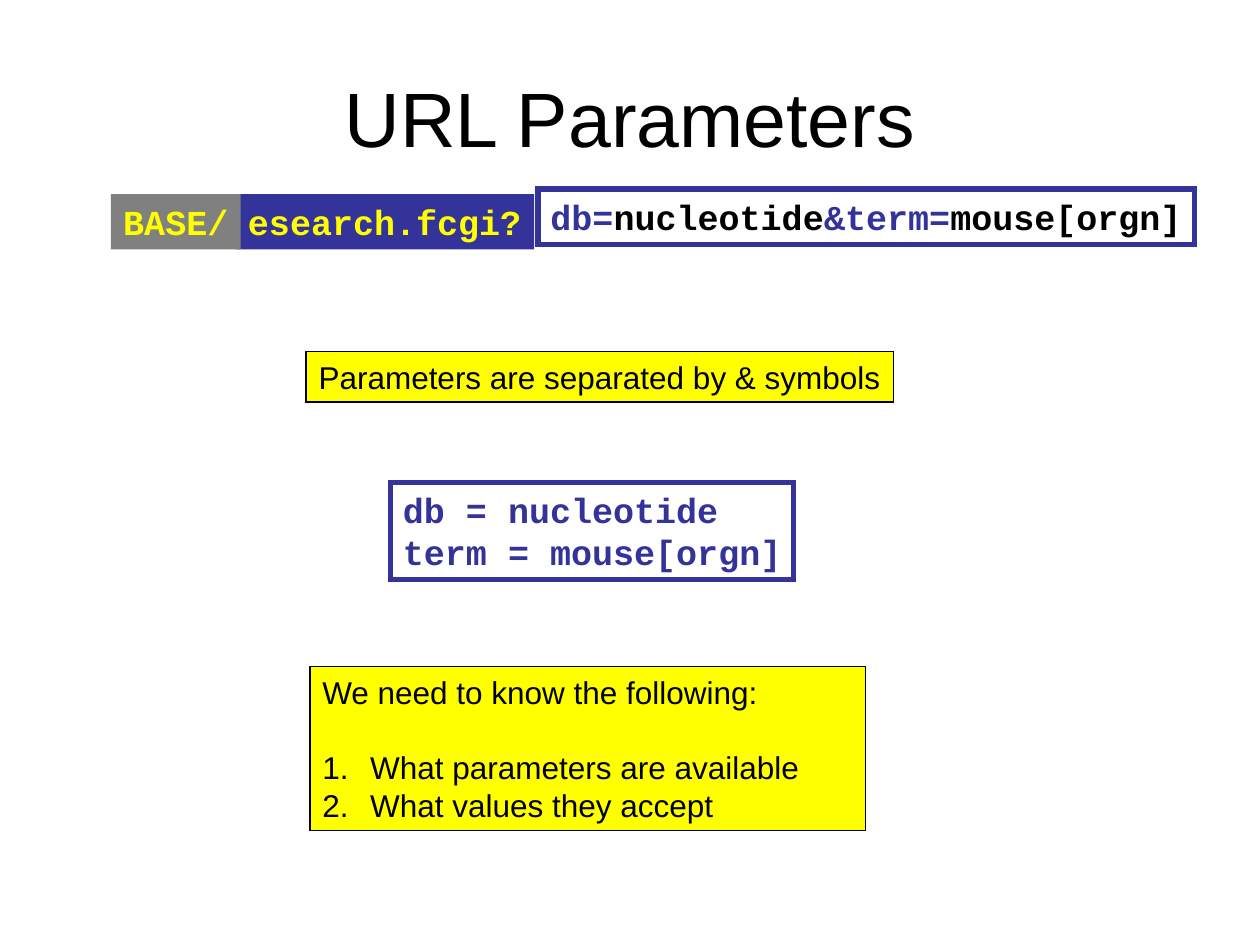
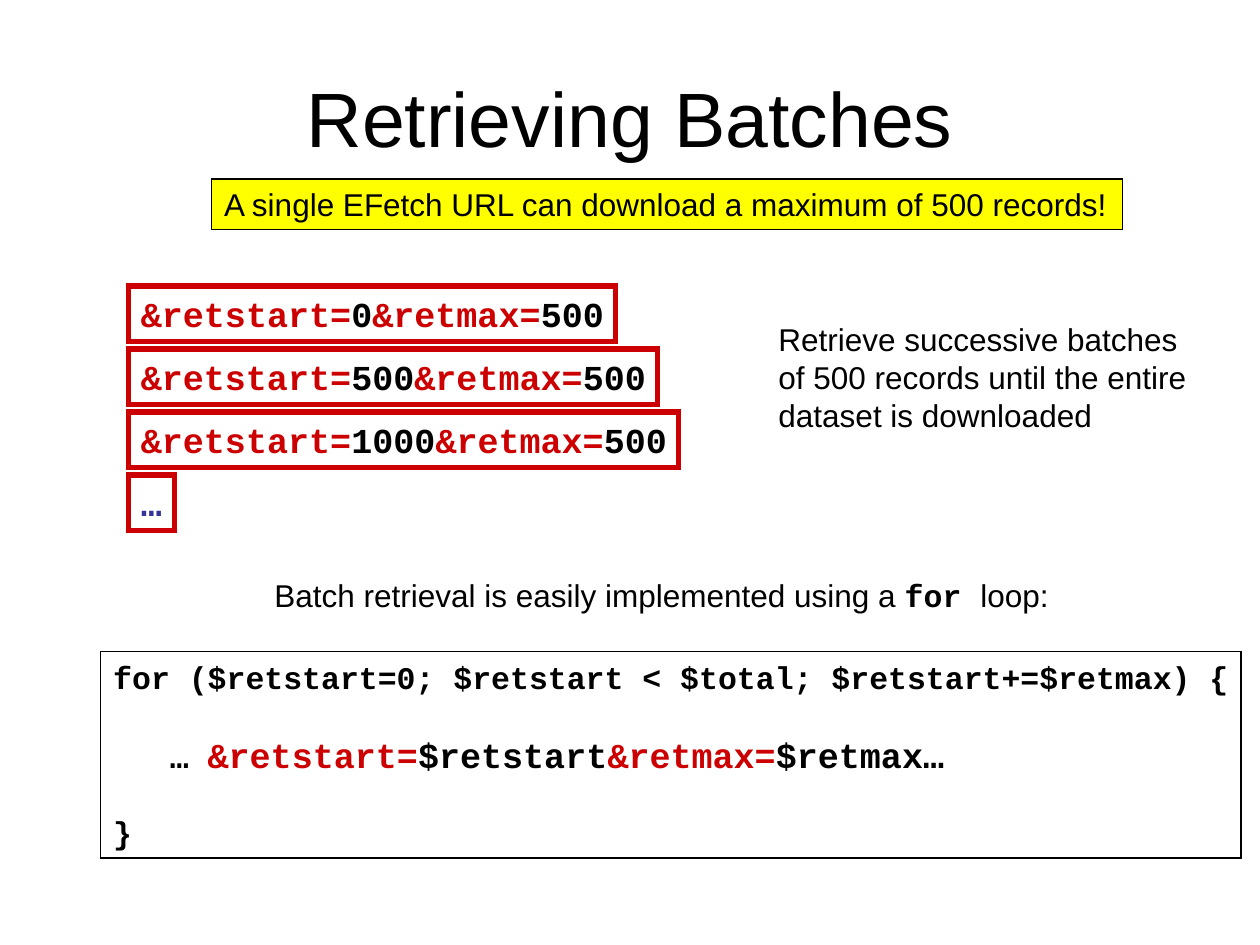
import pptx
import pptx.dml.color
import pptx.enum.shapes
import pptx.enum.text
import pptx.util
from lxml import etree
from pptx.oxml.ns import qn

Inches = pptx.util.Inches
Pt = pptx.util.Pt
ANCHOR = pptx.enum.text.MSO_ANCHOR
ALIGN = pptx.enum.text.PP_ALIGN
AUTO = pptx.enum.text.MSO_AUTO_SIZE

COLORS = {
    "black": "000000",
    "navy": "333399",
    "gray": "808080",
    "yellow": "FFFF00",
    "red": "CC0000",
}
TITLE = {"name": "Arial", "size": Pt(44), "bold": False}
BODY = {"name": "Arial", "size": Pt(18), "bold": False}
URL = {"name": "Courier New", "size": Pt(20), "bold": True}
CODE = {**URL, "size": Pt(18)}
FRAME = {"auto_size": AUTO.NONE, "word_wrap": True,
         "vertical_anchor": ANCHOR.TOP, "margin_right": 0}
TITLE_FRAME = {"auto_size": AUTO.NONE, "word_wrap": True,
               "vertical_anchor": ANCHOR.MIDDLE}
NOTE = {"fill": "yellow", "line": "black"}
LINE_GAP = Pt(21.5)


def rgb(color):
    return pptx.dml.color.RGBColor.from_string(COLORS[color])


def set_all(obj, values):
    for key, value in values.items():
        setattr(obj, key, value)


def run(text, style=BODY, color="black"):
    return text, style, color


def write(sp, paragraphs, frame=FRAME, align=ALIGN.LEFT):
    tf = sp.text_frame
    set_all(tf, frame)
    for i, runs in enumerate(paragraphs):
        p = tf.add_paragraph() if i else tf.paragraphs[0]
        p.alignment = align
        for text, style, color in runs:
            r = p.add_run()
            r.text = text
            set_all(r.font, style)
            r.font.color.rgb = rgb(color)
    return tf.paragraphs


def add_text(s, at, paragraphs, **layout):
    sp = s.shapes.add_textbox(*map(Inches, at))
    return write(sp, paragraphs, **layout)


def add_title(s, text):
    add_text(s, (0.5, 0.3, 9, 1.25), [[run(text, TITLE)]],
             frame=TITLE_FRAME, align=ALIGN.CENTER)


def add_box(s, at, paragraphs, fill=None, line=None, weight=0.75):
    sp = s.shapes.add_shape(pptx.enum.shapes.MSO_SHAPE.RECTANGLE, *map(Inches, at))
    sp.shadow.inherit = False
    if fill:
        sp.fill.solid()
        sp.fill.fore_color.rgb = rgb(fill)
    else:
        sp.fill.background()
    if line:
        sp.line.color.rgb = rgb(line)
        sp.line.width = Pt(weight)
        ln = sp._element.spPr.find(qn("a:ln"))
        etree.SubElement(ln, qn("a:miter"), lim="800000")
    else:
        sp.line.fill.background()
    return write(sp, paragraphs)


def number(p):
    pPr = p._p.get_or_add_pPr()
    pPr.set("marL", str(Inches(0.38)))
    pPr.set("indent", str(-Inches(0.38)))
    etree.SubElement(pPr, qn("a:buFont"), typeface="+mj-lt")
    etree.SubElement(pPr, qn("a:buAutoNum"), type="arabicPeriod")


def batch_query(start, maximum):
    return [run("&retstart=", URL, "red"), run(start, URL),
            run("&retmax=", URL, "red"), run(maximum, URL)]


def url_parameters(s):
    add_title(s, "URL Parameters")
    add_box(s, (1.87, 1.54, 2.37, 0.44),
            [[run("esearch.fcgi?", URL, "yellow")]], fill="navy")
    add_box(s, (0.88, 1.54, 1.03, 0.44),
            [[run("BASE/", URL, "yellow")]], fill="gray")
    add_box(s, (4.27, 1.5, 5.21, 0.44),
            [[run("db=", URL, "navy"), run("nucleotide", URL),
              run("&term=", URL, "navy"), run("mouse[orgn]", URL)]],
            line="navy", weight=3)
    add_box(s, (2.43, 2.79, 4.66, 0.4),
            [[run("Parameters are separated by & symbols")]], **NOTE)
    add_box(s, (3.1, 3.83, 3.2, 0.77),
            [[run("db = nucleotide", URL, "navy")],
             [run("term = mouse[orgn]", URL, "navy")]],
            line="navy", weight=3)
    needs = add_box(s, (2.46, 5.29, 4.41, 1.3),
                    [[run("We need to know the following:")],
                     [run("What parameters are available")],
                     [run("What values they accept")]], **NOTE)
    for p in needs[1:]:
        number(p)
    needs[1].space_before = LINE_GAP


def retrieving_batches(s):
    add_title(s, "Retrieving Batches")
    add_box(s, (1.68, 1.42, 7.23, 0.4),
            [[run("A single EFetch URL can download a maximum of 500 records!")]], **NOTE)

    batches = [batch_query(start, "500") for start in ("0", "500", "1000")]
    batches.append([run("…", URL, "navy")])
    for i, runs in enumerate(batches):
        chars = sum(len(text) for text, _, _ in runs)
        add_box(s, (1.02, 2.27 + 0.5 * i, 0.2 + chars / 6, 0.44),
                [runs], line="red", weight=3)

    add_text(s, (6.08, 2.49, 3.51, 1),
             [[run("Retrieve successive batches")],
              [run("of 500 records until the entire")],
              [run("dataset is downloaded")]])
    add_text(s, (2.08, 4.52, 6.34, 0.4),
             [[run("Batch retrieval is easily implemented using a "),
               run("for ", CODE), run("loop:")]])
    loop = add_box(s, (0.8, 5.17, 9.05, 1.64),
                   [[run("for ($retstart=0; $retstart < $total; $retstart+=$retmax) {", CODE)],
                    [run("   … ", CODE), *batch_query("$retstart", "$retmax…")],
                    [run("}", CODE)]], line="black")
    for p in loop[1:]:
        p.space_before = LINE_GAP


def main():
    prs = pptx.Presentation()
    prs.slide_width, prs.slide_height = Inches(10), Inches(7.5)
    for build in (url_parameters, retrieving_batches):
        build(prs.slides.add_slide(prs.slide_layouts[6]))
    prs.save("out.pptx")


if __name__ == "__main__":
    main()
